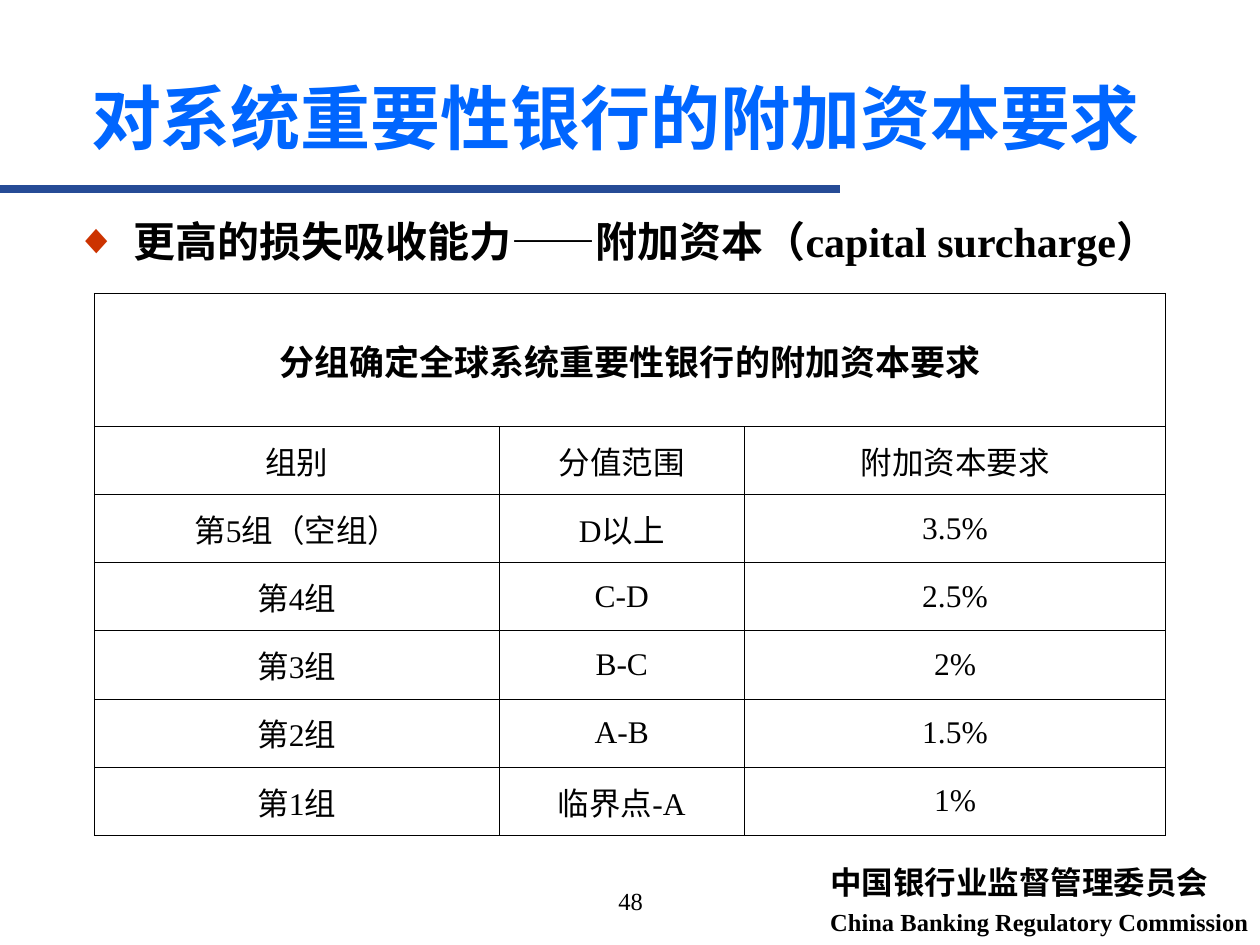
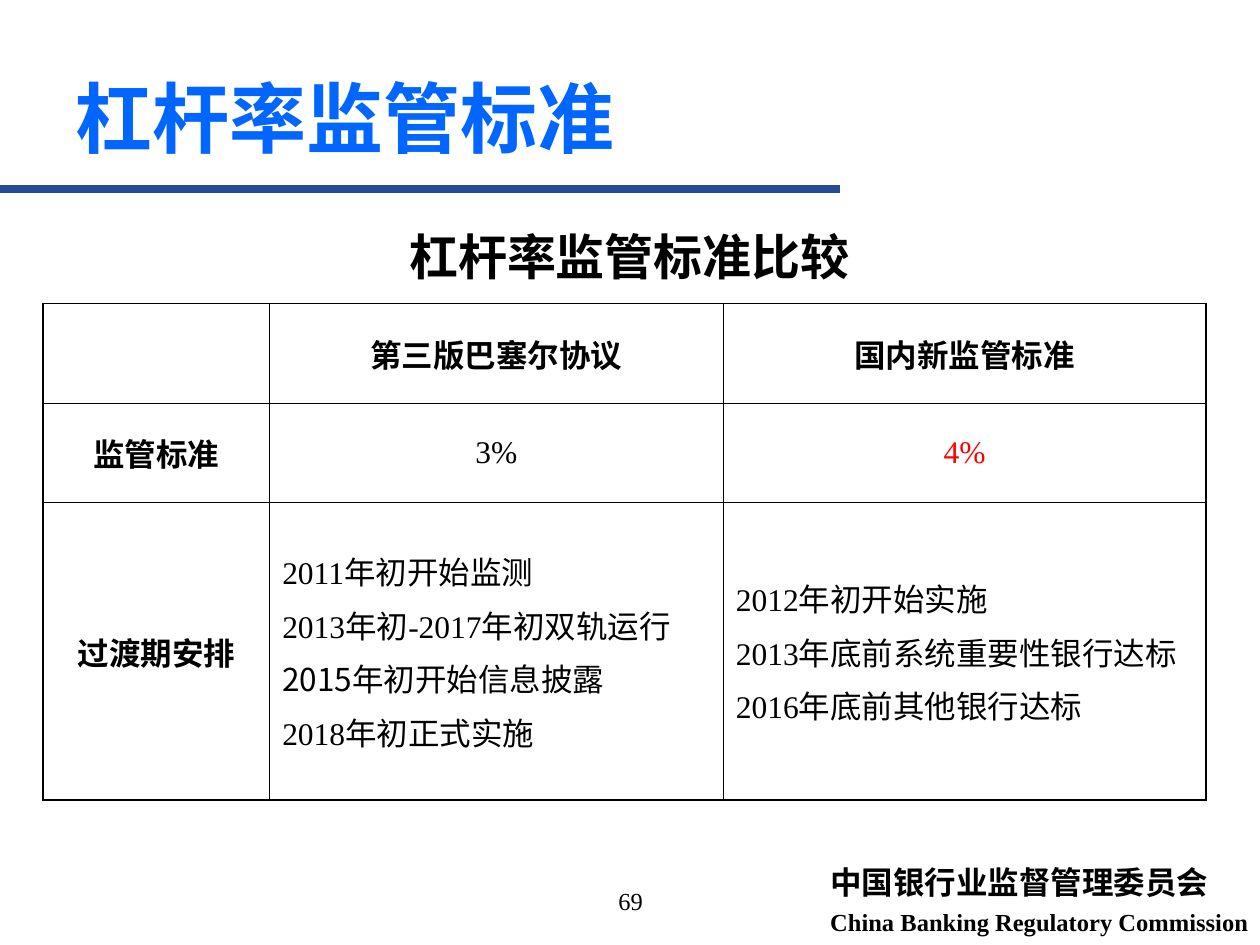
from dataclasses import dataclass
from itertools import groupby

from lxml.etree import SubElement
from pptx import Presentation
from pptx.dml.color import RGBColor
from pptx.enum.shapes import MSO_CONNECTOR
from pptx.enum.text import MSO_ANCHOR as Anchor, MSO_AUTO_SIZE as AutoSize, PP_ALIGN as Align
from pptx.oxml.ns import qn
from pptx.util import Inches, Pt

# The slide is a grid of 100 columns by 75 rows
COLUMNS, ROWS = 100, 75
UNIT = Inches(0.1)


@dataclass(frozen=True)
class Theme:
    title: str = "0066FF"
    rule: str = "264B96"
    bullet: str = "CC3300"
    ink: str = "000000"
    accent: str = "FF0000"
    serif: str = "Times New Roman"
    sans: str = "Arial"
    chinese: str = "Noto Sans CJK SC"
    footer_font: str = "DejaVu Sans"
    cell_size: int = 18
    heading_size: int = 20
    footer_size: int = 18
    small_size: int = 14
    inner_line: float = 0.45
    space: float = 4.5


THEME = Theme()


@dataclass(frozen=True)
class Box:
    left: float
    top: float
    width: float
    height: float

    def emu(self):
        return [round(v * UNIT) for v in (self.left, self.top, self.width, self.height)]


@dataclass(frozen=True)
class Cell:
    text: str = ""
    bold: bool = False
    size: int = THEME.cell_size
    color: str = THEME.ink
    align: Align = Align.CENTER
    sans_lines: tuple = ()
    span: int = 1


TITLE_RULE = Box(0, 15, 66.7, 0)
FOOTER = Box(64.9, 68, 35.2, 6.8)
PAGE_NUMBER = Box(34.2, 69.8, 31.7, 5.2)


def style_span(span, name, size, color=THEME.ink, bold=False):
    font = span.font
    font.name, font.size, font.bold = name, Pt(size), bold
    font.color.rgb = RGBColor.from_string(color)
    SubElement(span._r.get_or_add_rPr(), qn("a:ea"), typeface=THEME.chinese)


def write(para, text, name, size, color=THEME.ink, bold=False, align=Align.LEFT):
    para.text = text
    para.alignment = align
    para.space_before = Pt(0)
    style_span(para.runs[0], name, size, color, bold)


def write_mixed(para, text, cell, sans):
    """Set Latin parts in serif and Chinese parts in sans, unless the whole line is sans."""
    for latin, letters in groupby(text, lambda letter: letter.isascii() and not sans):
        span = para.add_run()
        span.text = "".join(letters)
        style_span(span, THEME.serif if latin else THEME.chinese, cell.size, cell.color, cell.bold)


def place(shape, box):
    shape.left, shape.top, shape.width, shape.height = box.emu()


def add_title(page, box, text, name, size, align):
    title = page.shapes.title
    place(title, box)
    frame = title.text_frame
    frame.auto_size, frame.vertical_anchor = AutoSize.NONE, Anchor.MIDDLE
    write(frame.paragraphs[0], text, name, size, THEME.title, True, align)


def add_lead(page, box, text, name, size, align, bullet=""):
    body = page.placeholders[1]
    place(body, box)
    body.text_frame.auto_size = AutoSize.NONE
    para = body.text_frame.paragraphs[0]
    props = para._p.get_or_add_pPr()
    if bullet:
        indent = Inches(0.46)
        props.set("marL", str(indent))
        props.set("indent", str(-indent))
        SubElement(SubElement(props, qn("a:buClr")), qn("a:srgbClr"), val=THEME.bullet)
        SubElement(props, qn("a:buChar"), char=bullet)
        para.line_spacing = 1.1
    else:
        props.set("marL", "0")
        props.set("indent", "0")
        SubElement(props, qn("a:buNone"))
    write(para, text, name, size, bold=True, align=align)


def add_title_rule(page, box):
    left, top, width, height = box.emu()
    rule = page.shapes.add_connector(MSO_CONNECTOR.STRAIGHT, left, top, left + width, top + height)
    rule.line.color.rgb = RGBColor.from_string(THEME.rule)
    rule.line.width = Pt(4.5)
    SubElement(rule._element.spPr, qn("a:effectLst"))


def add_footer(page, box):
    frame = page.shapes.add_textbox(*box.emu()).text_frame
    frame.word_wrap = False
    write(frame.paragraphs[0], "中国银行业监督管理委员会", THEME.footer_font, THEME.footer_size, bold=True)
    english = frame.add_paragraph()
    write(english, "China Banking Regulatory Commission", THEME.serif, THEME.small_size, bold=True)
    english.space_before = Pt(3.5)


def add_page_number(page, box, number):
    frame = page.shapes.add_textbox(*box.emu()).text_frame
    frame.word_wrap = True
    write(frame.paragraphs[0], str(number), THEME.serif, THEME.small_size, align=Align.CENTER)


def draw_borders(target, outer_sides, outer_line):
    props = target._tc.get_or_add_tcPr()
    for side in "LRTB":
        width = outer_line if side in outer_sides else THEME.inner_line
        line = SubElement(props, qn("a:ln" + side), w=str(Pt(width)))
        SubElement(SubElement(line, qn("a:solidFill")), qn("a:srgbClr"), val=THEME.ink)
    target.fill.background()


def fill_cell(target, cell):
    target.vertical_anchor = Anchor.MIDDLE
    frame = target.text_frame
    for index, text in enumerate(cell.text.split("\n")):
        para = frame.add_paragraph() if index else frame.paragraphs[0]
        para.alignment = cell.align
        para.space_before = Pt(THEME.space if index else 0)
        write_mixed(para, text, cell, index in cell.sans_lines)


def add_grid_table(page, box, widths, heights, rows, outer_line):
    """Widths and heights are grid units; they fill the box from its top left corner."""
    table = page.shapes.add_table(len(heights), len(widths), *box.emu()).table
    table.first_row = table.horz_banding = False
    for column, width in zip(table.columns, widths):
        column.width = round(width * UNIT)
    for row, height in zip(table.rows, heights):
        row.height = round(height * UNIT)
    last_row, last_column = len(heights) - 1, len(widths) - 1
    for r, row in enumerate(rows):
        for c, cell in enumerate(row):
            target = table.cell(r, c)
            end = c + cell.span - 1
            if cell.span > 1:
                target.merge(table.cell(r, end))
            edges = {"L": c == 0, "R": end == last_column, "T": r == 0, "B": r == last_row}
            sides = [side for side, outer in edges.items() if outer]
            for covered in range(c, end + 1):
                draw_borders(table.cell(r, covered), sides, outer_line)
            if cell.text:
                fill_cell(target, cell)


def add_page(deck, number):
    page = deck.slides.add_slide(deck.slide_layouts[1])
    add_footer(page, FOOTER)
    add_title_rule(page, TITLE_RULE)
    add_page_number(page, PAGE_NUMBER, number)
    return page


def build_surcharge_page(deck):
    page = add_page(deck, 48)
    add_title(page, Box(2.7, 3, 92.3, 12.5), "对系统重要性银行的附加资本要求", THEME.chinese, 40, Align.CENTER)
    add_lead(page, Box(5, 16.2, 95, 5.8), "更高的损失吸收能力——附加资本（capital surcharge）",
             THEME.serif, 24, Align.LEFT, "◆")
    groups = [
        ("组别", "分值范围", "附加资本要求"),
        ("第5组（空组）", "D以上", "3.5%"),
        ("第4组", "C-D", "2.5%"),
        ("第3组", "B-C", "2%"),
        ("第2组", "A-B", "1.5%"),
        ("第1组", "临界点-A", "1%"),
    ]
    heading = Cell("分组确定全球系统重要性银行的附加资本要求", True, THEME.heading_size, span=3)
    rows = [[heading]] + [[Cell(text) for text in group] for group in groups]
    add_grid_table(page, Box(7.5, 23.3, 85, 43), [32.1, 19.5, 33.4],
                   [10.54] + [5.41] * len(groups), rows, 0.96)


def build_leverage_page(deck):
    page = add_page(deck, 69)
    add_title(page, Box(5, 3, 90, 12.5), "杠杆率监管标准", THEME.sans, 44, Align.LEFT)
    add_lead(page, Box(5, 17.5, 89.9, 5.8), "杠杆率监管标准比较", THEME.sans, 28, Align.CENTER)
    basel_steps = "2011年初开始监测\n2013年初-2017年初双轨运行\n2015年初开始信息披露\n2018年初正式实施"
    domestic_steps = "2012年初开始实施\n2013年底前系统重要性银行达标\n2016年底前其他银行达标"
    rows = [
        [Cell(), Cell("第三版巴塞尔协议", True), Cell("国内新监管标准", True)],
        [Cell("监管标准", True), Cell("3%"), Cell("4%", color=THEME.accent)],
        [Cell("过渡期安排", True), Cell(basel_steps, align=Align.LEFT, sans_lines=(2,)),
         Cell(domestic_steps, align=Align.LEFT)],
    ]
    add_grid_table(page, Box(3.4, 24.1, 92.3, 39.4), [18, 36, 38.3], [7.9, 7.9, 23.6], rows, 1.08)


def main():
    deck = Presentation()
    deck.slide_width, deck.slide_height = COLUMNS * UNIT, ROWS * UNIT
    build_surcharge_page(deck)
    build_leverage_page(deck)
    deck.save("out.pptx")


if __name__ == "__main__":
    main()
